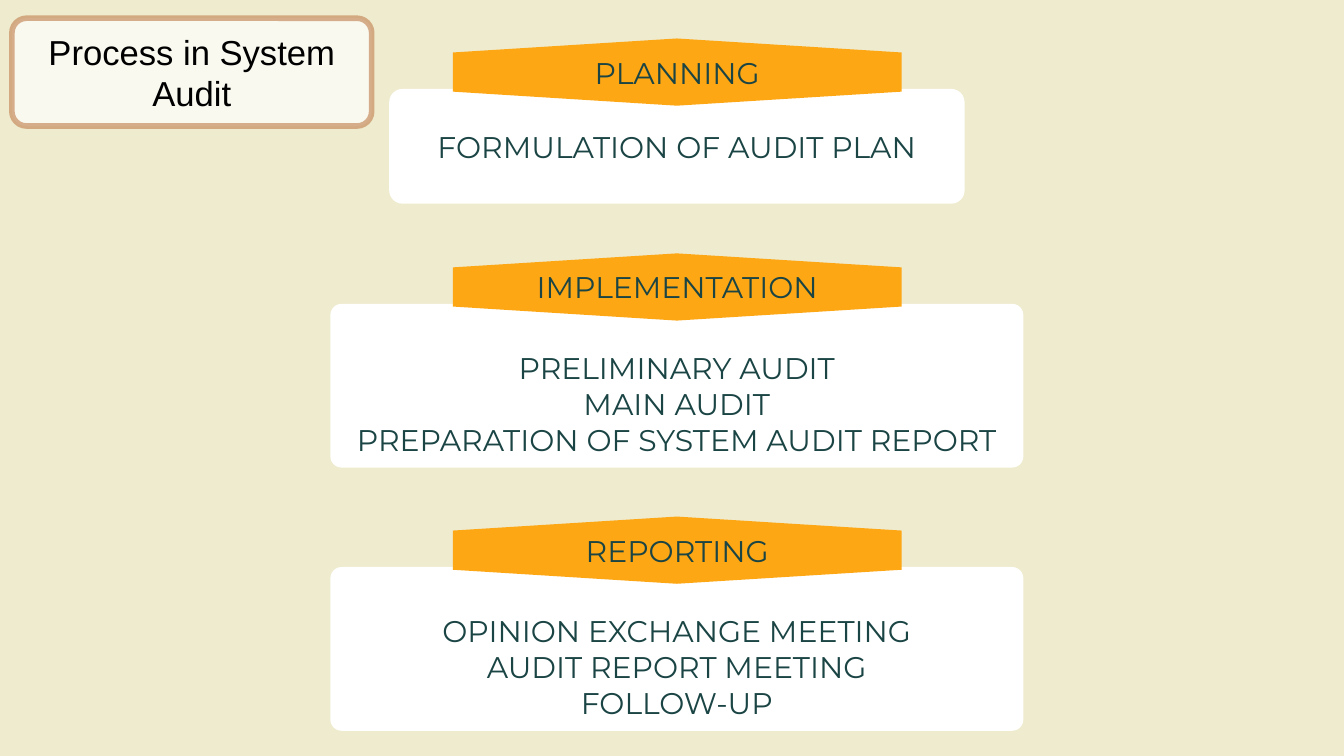
from dataclasses import dataclass

import pptx
import pptx.dml.color
import pptx.enum.shapes
import pptx.enum.text
import pptx.oxml.ns
import pptx.shapes.autoshape
import pptx.slide
import pptx.util
from lxml import etree

RGBColor = pptx.dml.color.RGBColor
BACKGROUND = RGBColor(0xEF, 0xEB, 0xCE)
WHITE = RGBColor(0xFF, 0xFF, 0xFF)
BLACK = RGBColor(0x00, 0x00, 0x00)
TAN = RGBColor(0xC7, 0x8E, 0x5F)
ORANGE = RGBColor(0xFD, 0xA7, 0x15)
TEAL = RGBColor(0x1B, 0x44, 0x44)

EMU_PER_PX = 9525
CENTER_X = 967
BANNER_WIDTH = 641
BANNER_HEIGHT = 96
BANNER_SLOPE = 20
PANEL_DROP = 72
LINE_HEIGHT = 51


@dataclass(frozen=True)
class TextStyle:
    font: str
    size: float
    spacing: float
    color: RGBColor


@dataclass(frozen=True)
class Stage:
    name: str
    steps: tuple[str, ...]
    top: int
    width: int
    height: int
    radius: int
    lead_lines: int


TITLE_STYLE = TextStyle("Arial", 37.1, 44.5, BLACK)
STAGE_STYLE = TextStyle("Montserrat", 32, 38.4, TEAL)

STAGES = (
    Stage("PLANNING", ("FORMULATION OF AUDIT PLAN",), 55, 822, 164, 19, 0),
    Stage(
        "IMPLEMENTATION",
        ("PRELIMINARY AUDIT", "MAIN AUDIT", "PREPARATION OF SYSTEM AUDIT REPORT"),
        362, 990, 234, 16, 1,
    ),
    Stage(
        "REPORTING",
        ("OPINION EXCHANGE MEETING", "AUDIT REPORT MEETING", "FOLLOW-UP"),
        738, 990, 234, 16, 1,
    ),
)


def px(n: int) -> pptx.util.Emu:
    return pptx.util.Emu(n * EMU_PER_PX)


def set_opacity(fill: pptx.dml.fill.FillFormat, percent: int) -> None:
    color = fill._xPr.find(".//" + pptx.oxml.ns.qn("a:srgbClr"))
    etree.SubElement(color, pptx.oxml.ns.qn("a:alpha"), val=str(percent * 1000))


def paint(sp: pptx.shapes.autoshape.Shape, color: RGBColor) -> None:
    sp.shadow.inherit = False
    sp.fill.solid()
    sp.fill.fore_color.rgb = color
    sp.line.fill.background()


def write(
    sp: pptx.shapes.autoshape.Shape,
    lines: tuple[str, ...],
    style: TextStyle,
    lead: int = 0,
) -> None:
    tf = sp.text_frame
    tf.word_wrap = True
    tf.vertical_anchor = pptx.enum.text.MSO_ANCHOR.MIDDLE
    tf.margin_left = tf.margin_right = tf.margin_bottom = px(6)
    tf.margin_top = px(6 + lead)
    tf.text = "\n".join(lines)
    for p in tf.paragraphs:
        p.alignment = pptx.enum.text.PP_ALIGN.CENTER
        p.line_spacing = pptx.util.Pt(style.spacing)
        for r in p.runs:
            r.font.name = style.font
            r.font.size = pptx.util.Pt(style.size)
            r.font.color.rgb = style.color


def add_panel(
    s: pptx.slide.Slide, left: int, top: int, width: int, height: int, radius: int
) -> pptx.shapes.autoshape.Shape:
    sp = s.shapes.add_shape(
        pptx.enum.shapes.MSO_SHAPE.ROUNDED_RECTANGLE,
        px(left), px(top), px(width), px(height),
    )
    sp.adjustments[0] = radius / min(width, height)
    paint(sp, WHITE)
    return sp


def add_banner(s: pptx.slide.Slide, top: int) -> pptx.shapes.autoshape.Shape:
    left = CENTER_X - BANNER_WIDTH // 2
    right = left + BANNER_WIDTH
    bottom = top + BANNER_HEIGHT
    fb = s.shapes.build_freeform(left, top + BANNER_SLOPE, scale=EMU_PER_PX)
    fb.add_line_segments(
        (
            (CENTER_X, top),
            (right, top + BANNER_SLOPE),
            (right, bottom - BANNER_SLOPE),
            (CENTER_X, bottom),
            (left, bottom - BANNER_SLOPE),
        ),
        close=True,
    )
    sp = fb.convert_to_shape()
    paint(sp, ORANGE)
    return sp


def add_title(s: pptx.slide.Slide) -> None:
    sp = add_panel(s, 17, 26, 514, 154, 21)
    set_opacity(sp.fill, 70)
    sp.line.color.rgb = TAN
    sp.line.width = pptx.util.Pt(6)
    set_opacity(sp.line.fill, 70)
    write(sp, ("Process in System Audit",), TITLE_STYLE)


def add_stage(s: pptx.slide.Slide, stage: Stage) -> None:
    panel = add_panel(
        s, CENTER_X - stage.width // 2, stage.top + PANEL_DROP,
        stage.width, stage.height, stage.radius,
    )
    write(panel, stage.steps, STAGE_STYLE, stage.lead_lines * LINE_HEIGHT)
    write(add_banner(s, stage.top), (stage.name,), STAGE_STYLE)


def main() -> None:
    prs = pptx.Presentation()
    prs.slide_width = px(1920)
    prs.slide_height = px(1080)
    s = prs.slides.add_slide(prs.slide_layouts[6])
    s.background.fill.solid()
    s.background.fill.fore_color.rgb = BACKGROUND
    add_title(s)
    for stage in STAGES:
        add_stage(s, stage)
    prs.save("out.pptx")


if __name__ == "__main__":
    main()
